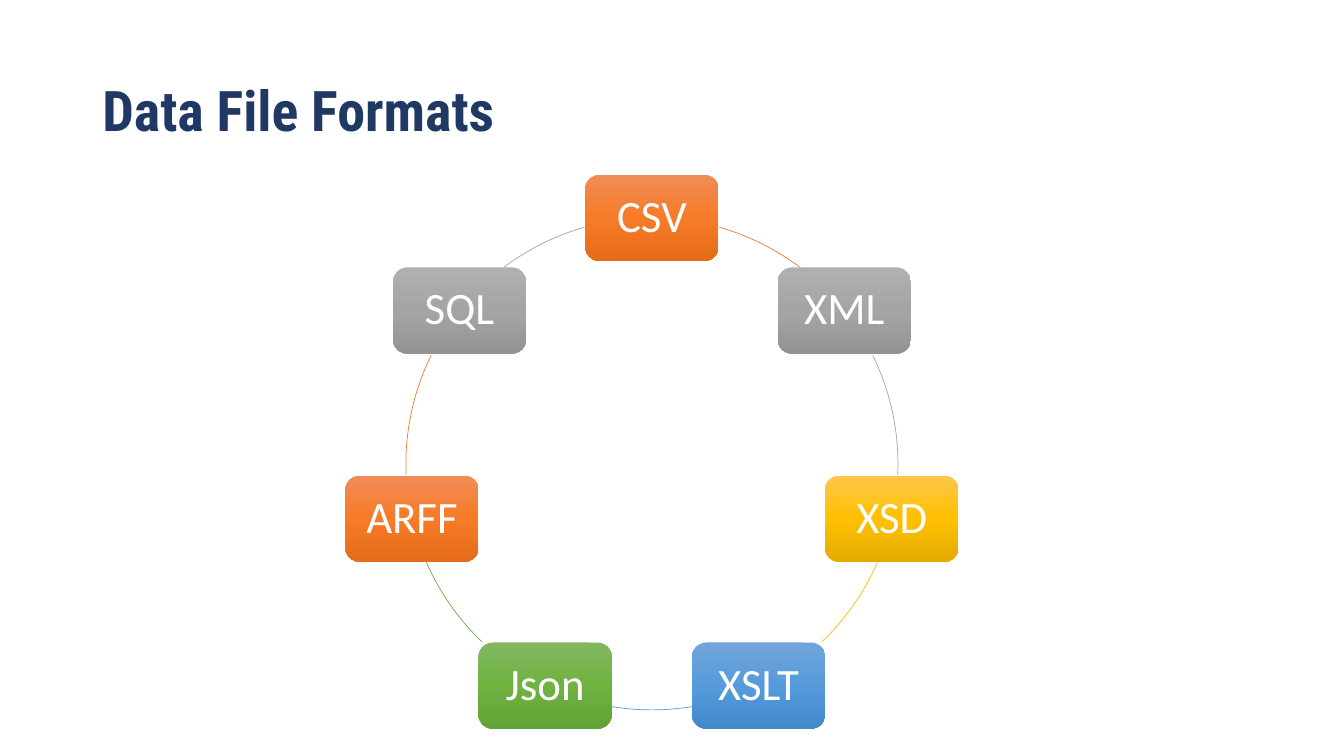
from copy import deepcopy
from math import cos, radians, sin

from lxml.etree import SubElement
from pptx import Presentation
from pptx.dml.color import RGBColor
from pptx.enum.shapes import MSO_SHAPE as Shape
from pptx.enum.text import MSO_ANCHOR as Anchor, PP_ALIGN as Align
from pptx.oxml.ns import qn
from pptx.util import Cm, Pt

CENTER_X, CENTER_Y, RADIUS = 16.43, 11.69, 6.2
NODE_WIDTH, NODE_HEIGHT = 3.36, 2.17

# Line colour, then the gradient from top to bottom
ORANGE = ("ED7D31", ("F18C57", "F67B28", "E56C19"))
GRAY = ("A5A5A5", ("AFAFAF", "A5A5A5", "939393"))
GOLD = ("FFC000", ("FFC64B", "FFC000", "E3AB00"))
BLUE = ("5B9BD5", ("71A6DB", "559BDB", "448ACA"))
GREEN = ("70AD47", ("81B861", "6FB242", "62A336"))

# Label, palette, and the arc to the next node in degrees clockwise from the top
FORMATS = [
    ("CSV", ORANGE, (15.9, 37)),
    ("XML", GRAY, (63.8, 92.6)),
    ("XSD", GOLD, (113.6, 136.3)),
    ("XSLT", BLUE, (170.6, 189.4)),
    ("Json", GREEN, (223.7, 246.4)),
    ("ARFF", ORANGE, (267.4, 296.2)),
    ("SQL", GRAY, (323, 344.1)),
]


def color(code):
    return RGBColor.from_string(code)


def write_text(box, text, *, size, font, ink, bold=False, align=Align.LEFT, inset=0.25):
    frame = box.text_frame
    frame.word_wrap = True
    frame.vertical_anchor = Anchor.MIDDLE
    frame.margin_left = frame.margin_right = Cm(inset)
    para = frame.paragraphs[0]
    para.alignment = align
    para.line_spacing = 0.9
    span = para.add_run()
    span.text = text
    span.font.size = Pt(size)
    span.font.name = font
    span.font.bold = bold
    span.font.color.rgb = color(ink)


def fill_gradient(shape, codes):
    """Fill from top to bottom with three evenly spaced colours."""
    shape.fill.gradient()
    shape.fill.gradient_angle = 270
    stop_list = next(shape._element.iter(qn("a:gsLst")))
    stop_list.insert(1, deepcopy(stop_list[0]))
    for stop, element, position, code in zip(
        shape.fill.gradient_stops, stop_list, (0, 50000, 100000), codes
    ):
        stop.position = position / 100000
        for child in list(element):
            element.remove(child)
        SubElement(element, qn("a:srgbClr"), val=code)


def add_title(page, text):
    box = page.shapes.add_textbox(Cm(2.33), Cm(1.02), Cm(29.21), Cm(3.68))
    write_text(box, text, size=40, font="Roboto Condensed", ink="203864", bold=True)


def add_arc(page, start, end, code):
    arc = page.shapes.add_shape(
        Shape.ARC, Cm(CENTER_X - RADIUS), Cm(CENTER_Y - RADIUS),
        Cm(2 * RADIUS), Cm(2 * RADIUS),
    )
    for index, angle in enumerate((start, end)):
        # The preset counts from three o'clock, in 60000ths of a degree
        arc.adjustments[index] = (angle - 90) % 360 * 0.6
    arc.shadow.inherit = False
    arc.fill.background()
    arc.line.color.rgb = color(code)
    arc.line.width = Pt(0.5)


def add_node(page, label, angle, gradient):
    middle_x = CENTER_X + RADIUS * sin(angle)
    middle_y = CENTER_Y - RADIUS * cos(angle)
    node = page.shapes.add_shape(
        Shape.ROUNDED_RECTANGLE, Cm(middle_x - NODE_WIDTH / 2),
        Cm(middle_y - NODE_HEIGHT / 2), Cm(NODE_WIDTH), Cm(NODE_HEIGHT),
    )
    node.shadow.inherit = False
    node.line.fill.background()
    fill_gradient(node, gradient)
    write_text(node, label, size=32, font="Calibri", ink="FFFFFF",
               align=Align.CENTER, inset=0.4)


def main():
    deck = Presentation()
    deck.slide_width, deck.slide_height = Cm(33.87), Cm(19.05)
    page = deck.slides.add_slide(deck.slide_layouts[6])
    add_title(page, "Data File Formats")
    for index, (label, (line, gradient), (start, end)) in enumerate(FORMATS):
        add_node(page, label, radians(360 / len(FORMATS) * index), gradient)
        add_arc(page, start, end, line)
    deck.save("out.pptx")


if __name__ == "__main__":
    main()
